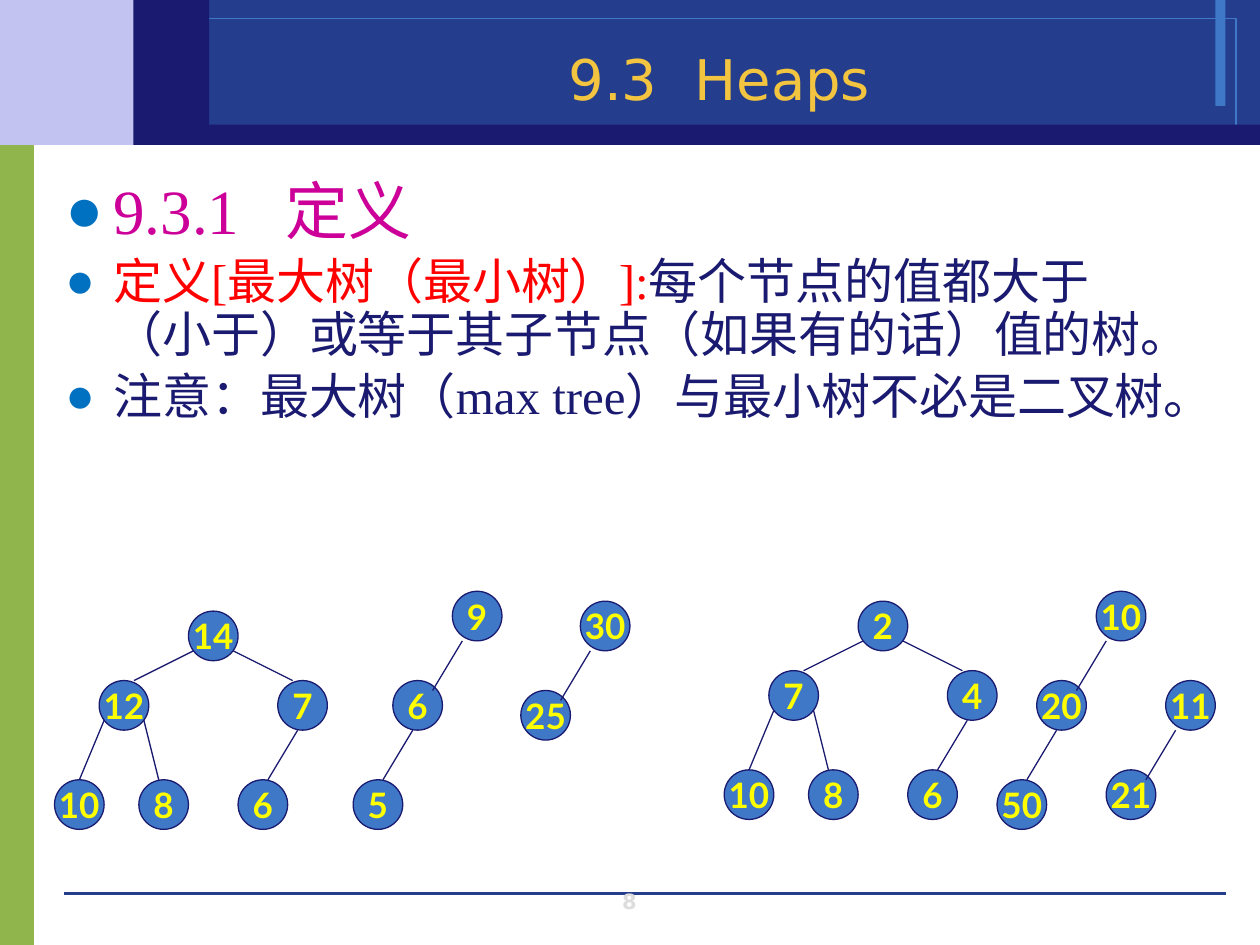
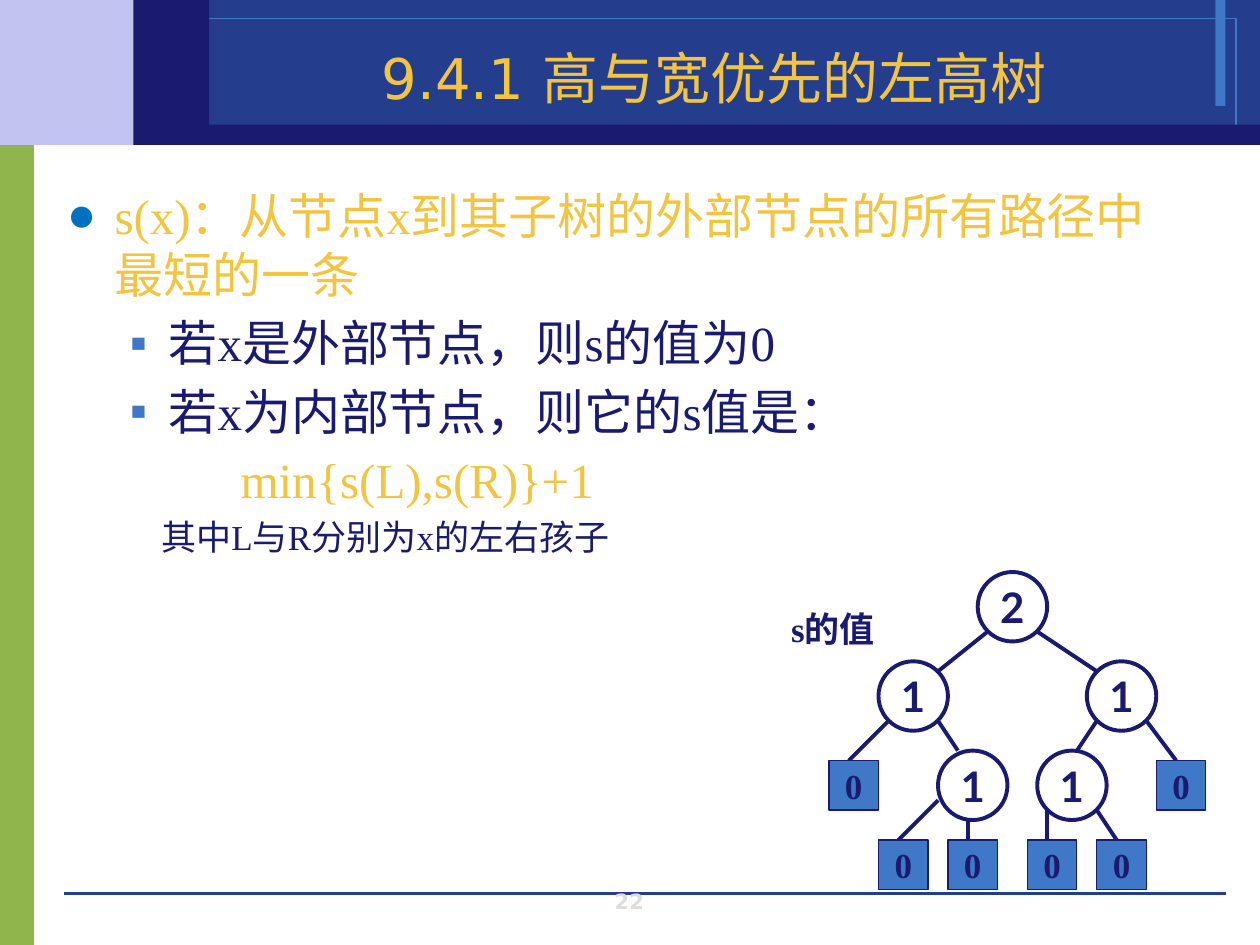
"""Build two slides on heaps and leftist trees over a shared banded layout."""
from dataclasses import dataclass
from lxml import etree
from pptx import Presentation
from pptx import util as u
from pptx.dml.color import RGBColor
from pptx.enum import shapes, text
from pptx.oxml.ns import qn

CELL = u.Mm(2)
COLUMNS, ROWS = 127, 95.25
BAND = 14.61


@dataclass(frozen=True)
class Theme:
    navy: str = "1A1A70"
    royal: str = "243D8C"
    blue: str = "3E78C6"
    lilac: str = "C3C3F1"
    green: str = "90B54D"
    gold: str = "F3C43F"
    yellow: str = "FFFF00"
    red: str = "FF0000"
    magenta: str = "CC0099"
    bullet: str = "0070C0"
    grey: str = "DDDDDD"
    heading: str = "DejaVu Sans"
    serif: str = "Times New Roman"
    node: str = "Lato"
    title_size: int = 32
    topic_size: int = 36
    body_size: int = 28
    node_size: int = 24
    small_size: int = 20
    page_size: int = 12
    thin: float = 0.75
    thick: float = 2.25


THEME = Theme()

HEAP_TREE = {
    "nodes": [(0, 0), (-9, 7), (9, 7), (-13.5, 17), (-5, 17), (5, 17)],
    "edges": [(-5.5, 7, 0.5, 4), (10.5, 7, 4.5, 4), (-11, 17, -8.5, 11),
              (-3, 17, -4.5, 11), (8, 17, 11, 12)],
}
CHAIN = {
    "nodes": [(0, 0), (-6, 9), (-10, 19)],
    "edges": [(-2, 10, 1, 5), (-7, 19, -4, 14)],
}
PAIR = {"nodes": CHAIN["nodes"][:2], "edges": CHAIN["edges"][:1]}
S_TREE = {
    "nodes": [(0, 0), (-10, 9), (11, 9), (-4, 18), (6, 18)],
    "edges": [(-13, 19, -9, 15), (-4, 10, 1, 6), (12, 10, 6, 6),
              (-2, 18, -4, 15), (10, 18, 12, 15), (-8, 27, -4, 23),
              (-1, 27, -1, 25), (7, 27, 7, 24), (14, 27, 12, 24),
              (20, 19, 17, 15)],
}
S_LEAVES = {
    "nodes": [(-15, 19), (-10, 27), (-3, 27), (5, 27), (12, 27), (18, 19)],
    "edges": [],
}


def cells(*values):
    return [round(value * CELL) for value in values]


def write(para, words, *, size, color, font=THEME.serif, bold=False):
    span = para.add_run()
    span.text = words
    span.font.size = u.Pt(size)
    span.font.name = font
    span.font.bold = bold
    span.font.color.rgb = RGBColor.from_string(color)


class Board:
    def __init__(self, theme):
        self.theme = theme
        self.deck = Presentation()
        self.deck.slide_width, self.deck.slide_height = cells(COLUMNS, ROWS)
        self.layout = self.deck.slide_layouts[1]
        self.slide = None

    def new_slide(self, title, title_at, number):
        look = self.theme
        first = self.slide is None
        self.slide = self.deck.slides.add_slide(self.layout)
        if first:
            self.dress_layout()
        self.label(number, (48.64, 89.54, 29.59, 3.18), text.PP_ALIGN.CENTER,
                   text.MSO_ANCHOR.BOTTOM, size=look.page_size, color=look.grey,
                   font=look.heading)
        frame = self.claim(self.slide.shapes.title, title_at)
        frame.vertical_anchor = text.MSO_ANCHOR.BOTTOM
        para = frame.paragraphs[0]
        para.alignment = text.PP_ALIGN.CENTER
        write(para, title, size=look.title_size, color=look.gold, font=look.heading)

    def dress_layout(self):
        look = self.theme
        parts = [
            self.shape((0, 13.54, 3.43, ROWS - 13.54), fill=look.green),
            self.shape((0, 0, 19.43, BAND), fill=look.lilac),
            self.shape((19.43, 0, COLUMNS - 19.43, BAND), fill=look.royal),
            self.shape((122.5, 0, 1.02, 10.67), fill=look.blue),
            self.shape((15.11, 1.86, 109.47, 10.8), line=look.blue),
            self.line((6.48, 90.04, 123.57, 90.04), look.royal, 0),
            self.shape((16.51, 12.57, COLUMNS - 16.51, BAND - 12.57), fill=look.navy),
            self.shape((13.46, 0, 7.62, BAND), fill=look.navy),
        ]
        for part in parts:
            self.layout.shapes.element.append(part.element)

    def claim(self, box, at):
        box.left, box.top, box.width, box.height = cells(*at)
        box.text_frame.auto_size = text.MSO_AUTO_SIZE.NONE
        return box.text_frame

    def shape(self, at, kind=shapes.MSO_SHAPE.RECTANGLE, fill=None, line=None, width=0):
        shape = self.slide.shapes.add_shape(kind, *cells(*at))
        shape.shadow.inherit = False
        if fill:
            shape.fill.solid()
            shape.fill.fore_color.rgb = RGBColor.from_string(fill)
        else:
            shape.fill.background()
        if line:
            shape.line.color.rgb = RGBColor.from_string(line)
            shape.line.width = u.Pt(width)
        else:
            shape.line.fill.background()
        return shape

    def line(self, ends, color, width):
        line = self.slide.shapes.add_connector(shapes.MSO_CONNECTOR.STRAIGHT, *cells(*ends))
        line.line.color.rgb = RGBColor.from_string(color)
        line.line.width = u.Pt(width)
        etree.SubElement(line.element.spPr, qn("a:effectLst"))
        return line

    def label(self, words, at, align=text.PP_ALIGN.LEFT, anchor=text.MSO_ANCHOR.TOP, **style):
        frame = self.slide.shapes.add_textbox(*cells(*at)).text_frame
        frame.word_wrap = True
        frame.vertical_anchor = anchor
        para = frame.paragraphs[0]
        para.alignment = align
        write(para, words, bold=True, **style)

    def body(self, at, items):
        frame = self.claim(self.slide.placeholders[1], at)
        for index, item in enumerate(items):
            para = frame.add_paragraph() if index else frame.paragraphs[0]
            self.item(para, **item)

    def item(self, para, spans, size=THEME.body_size, level=0, bullet="●",
             margin=0.38, hang=0.38, spacing=1.0, tab=None):
        para.level = level
        para.alignment = text.PP_ALIGN.LEFT
        para.line_spacing = spacing
        para.space_before = u.Pt(size * 0.2)
        for words, color in spans:
            write(para, words, size=size, color=color)
        props = para._p.get_or_add_pPr()
        props.set("marL", str(u.Inches(margin)))
        props.set("indent", str(-u.Inches(hang)))
        if bullet:
            tint = etree.SubElement(props, qn("a:buClr"))
            shade = self.theme.blue if level else self.theme.bullet
            etree.SubElement(tint, qn("a:srgbClr"), val=shade)
            etree.SubElement(props, qn("a:buChar"), char=bullet)
        else:
            etree.SubElement(props, qn("a:buNone"))
        if tab:
            stops = etree.SubElement(props, qn("a:tabLst"))
            etree.SubElement(stops, qn("a:tab"), pos=str(u.Inches(tab)), algn="l")

    def node(self, words, at, side, kind, fill, width, **style):
        shape = self.shape((*at, side, side), kind, fill, self.theme.navy, width)
        frame = shape.text_frame
        frame.word_wrap = False
        frame.vertical_anchor = text.MSO_ANCHOR.MIDDLE
        para = frame.paragraphs[0]
        para.alignment = text.PP_ALIGN.CENTER
        write(para, words, bold=True, **style)

    def tree(self, plan, root, values, side=5, kind=shapes.MSO_SHAPE.OVAL,
             fill=THEME.blue, width=THEME.thin, size=THEME.small_size,
             color=THEME.yellow, font=THEME.node):
        left, top = root
        for (column, row), value in zip(plan["nodes"], values):
            self.node(str(value), (left + column, top + row), side, kind, fill, width,
                      size=size, color=color, font=font)
        for x1, y1, x2, y2 in plan["edges"]:
            self.line((left + x1, top + y1, left + x2, top + y2), self.theme.navy, width)


def heaps_slide(board):
    look = board.theme
    board.new_slide("9.3\tHeaps", (18.03, 2.67, 108.97, 9.27), "8")
    board.body((5.33, 16.64, 114.3, 33.15), [
        {"spans": [("9.3.1\t定义", look.magenta)], "size": look.topic_size, "tab": 1.75},
        {"spans": [("定义[最大树（最小树）]:", look.red),
                   ("每个节点的值都大于（小于）或等于其子节点（如果有的话）值的树。", look.navy)],
         "spacing": 0.9},
        {"spans": [("注意：最大树（max tree）与最小树不必是二叉树。", look.navy)],
         "spacing": 0.9},
    ])
    board.tree(HEAP_TREE, (86.5, 60.6), [2, 7, 4, 10, 8, 6])
    board.tree(HEAP_TREE, (19, 61.6), [14, 12, 7, 10, 8, 6])
    board.tree(CHAIN, (45.6, 59.6), [9, 6, 5])
    board.tree(PAIR, (58.5, 60.6), [30, 25])
    board.tree(CHAIN, (110.5, 59.6), [10, 20, 50])
    board.tree(PAIR, (117.5, 68.6), [11, 21])


def leftist_slide(board):
    look = board.theme
    board.new_slide("9.4.1 高与宽优先的左高树", (17.53, 0, 108.97, 11.81), "22")
    point = {"level": 1, "bullet": "▪", "margin": 0.81, "hang": 0.31}
    plain = {"bullet": None, "hang": 0}
    board.body((5.46, 18.03, 113.54, 32.13), [
        {"spans": [("s(x)：从节点x到其子树的外部节点的所有路径中最短的一条", look.gold)]},
        {"spans": [("若x是外部节点，则s的值为0", look.navy)], **point},
        {"spans": [("若x为内部节点，则它的s值是：", look.navy)], **point},
        {"spans": [("min{s(L),s(R)}+1", look.gold)], "margin": 1.38, **plain},
        {"spans": [("其中L与R分别为x的左右孩子", look.navy)], "size": look.small_size,
         "margin": 0.75, **plain},
    ])
    root = (98.55, 57.66)
    board.tree(S_TREE, root, [2, 1, 1, 1, 1], side=7, fill=None, width=look.thick,
               size=look.node_size, color=look.navy)
    board.tree(S_LEAVES, root, [0] * 6, kind=shapes.MSO_SHAPE.RECTANGLE,
               color=look.navy, font=look.serif)
    board.label("s的值", (78.49, 60.58, 12.07, 5.46), size=look.small_size, color=look.navy)


def main():
    board = Board(THEME)
    heaps_slide(board)
    leftist_slide(board)
    board.deck.save("out.pptx")


if __name__ == "__main__":
    main()
